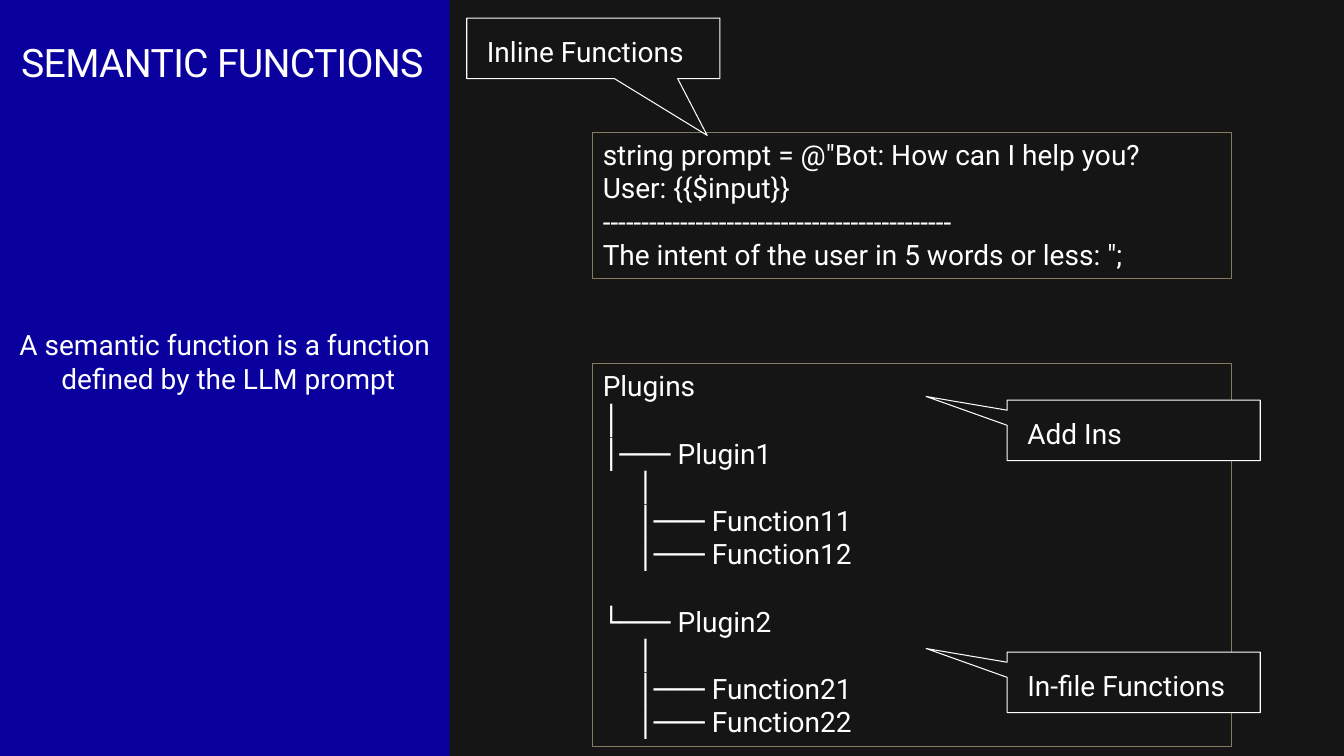
from dataclasses import dataclass

from pptx import Presentation
from pptx.dml.color import RGBColor
from pptx.enum.shapes import MSO_SHAPE
from pptx.enum.text import MSO_ANCHOR, PP_ALIGN
from pptx.oxml.ns import qn
from pptx.util import Inches, Pt

RECTANGLE = MSO_SHAPE.RECTANGLE
CALLOUT = MSO_SHAPE.RECTANGULAR_CALLOUT
TOP = MSO_ANCHOR.TOP
LEFT, CENTER = PP_ALIGN.LEFT, PP_ALIGN.CENTER
BLANK_LAYOUT = 6
SLIDE_WIDTH, SLIDE_HEIGHT = Inches(13.33), Inches(7.5)


@dataclass(frozen=True)
class Theme:
    background: RGBColor = RGBColor.from_string("151515")
    sidebar: RGBColor = RGBColor.from_string("09009E")
    frame: RGBColor = RGBColor.from_string("847C5F")
    light: RGBColor = RGBColor.from_string("FFFFFF")
    font: str = "Roboto"
    title_size: Pt = Pt(28)
    body_size: Pt = Pt(20)
    line_height: Pt = Pt(24)
    outline: Pt = Pt(0.75)
    title_spacing: str = "-50"


THEME = Theme()
TEXT_INSETS = (0.1, 0.05)
CALLOUT_INSETS = (0.2, 0.16)
CALLOUT_SIZE = (18.83, 8)
LEFT_POINTER = (-0.82, -0.56)
FRAME_LEFT, FRAME_WIDTH = 44.11, 47.49
TREE_INDENT = Inches(0.34)

DEFINITION = ["A semantic function is a function ", "defined by the LLM prompt"]
PROMPT = [
    'string prompt = @"Bot: How can I help you?',
    "User: {{$input}}",
    "-" * 45,
    'The intent of the user in 5 words or less: ";',
]
PLUGIN_TREE = [
    (0, "Plugins"),
    (0, "│"),
    (0, "│─── Plugin1"),
    (1, "│"),
    (1, "│─── Function11"),
    (1, "│─── Function12"),
    (0, "└─── Plugin2"),
    (1, "│"),
    (1, "│─── Function21"),
    (1, "│─── Function22"),
]
SECOND_PLUGIN = 6
CALLOUTS = [
    ("Inline Functions", 34.73, 2.4, (0.45, 1.44)),
    ("In-file Functions", 74.94, 86.27, LEFT_POINTER),
    ("Add Ins", 74.94, 52.93, LEFT_POINTER),
]


def place(left, top, width, height):
    return (
        round(SLIDE_WIDTH * left / 100),
        round(SLIDE_HEIGHT * top / 100),
        round(SLIDE_WIDTH * width / 100),
        round(SLIDE_HEIGHT * height / 100),
    )


def write_lines(holder, lines, size=THEME.body_size, insets=TEXT_INSETS, align=LEFT):
    frame = holder.text_frame
    frame.word_wrap = True
    frame.vertical_anchor = TOP
    frame.margin_left = frame.margin_right = Inches(insets[0])
    frame.margin_top = frame.margin_bottom = Inches(insets[1])
    frame.text = "\n".join(lines)
    for paragraph in frame.paragraphs:
        paragraph.alignment = align
        paragraph.font.name = THEME.font
        paragraph.font.size = size
        paragraph.font.color.rgb = THEME.light
    return frame.paragraphs


def add_block(slide, kind, area, fill=None, line=None):
    block = slide.shapes.add_shape(kind, *place(*area))
    block.shadow.inherit = False
    if fill is None:
        block.fill.background()
    else:
        block.fill.solid()
        block.fill.fore_color.rgb = fill
    if line is None:
        block.line.fill.background()
    else:
        block.line.color.rgb = line
        block.line.width = THEME.outline
    return block


def add_text(slide, area, lines, **style):
    return write_lines(slide.shapes.add_textbox(*place(*area)), lines, **style)


def add_frame(slide, top, height, lines):
    area = (FRAME_LEFT, top, FRAME_WIDTH, height)
    return write_lines(add_block(slide, RECTANGLE, area, line=THEME.frame), lines)


def add_callout(slide, label, left, top, pointer):
    callout = add_block(slide, CALLOUT, (left, top, *CALLOUT_SIZE), THEME.background, THEME.light)
    callout.adjustments[0], callout.adjustments[1] = pointer
    write_lines(callout, [label], insets=CALLOUT_INSETS)


def add_title(slide):
    title = add_text(slide, (1.58, 5.07, 33.16, 6.27), ["SEMANTIC FUNCTIONS"],
                     size=THEME.title_size, insets=(0, 0))[0]
    title._p.pPr.find(qn("a:defRPr")).set("spc", THEME.title_spacing)


def add_plugin_tree(slide):
    branches = add_frame(slide, 48.13, 50.67, [label for _, label in PLUGIN_TREE])
    for branch, (level, _) in zip(branches, PLUGIN_TREE):
        branch._p.pPr.set("marL", str(level * TREE_INDENT))
    branches[SECOND_PLUGIN].space_before = THEME.line_height


def main():
    deck = Presentation()
    deck.slide_width, deck.slide_height = SLIDE_WIDTH, SLIDE_HEIGHT
    slide = deck.slides.add_slide(deck.slide_layouts[BLANK_LAYOUT])
    slide.background.fill.solid()
    slide.background.fill.fore_color.rgb = THEME.background

    add_block(slide, RECTANGLE, (0, 0, 33.46, 100), fill=THEME.sidebar)
    add_title(slide)
    add_text(slide, (-8.03, 42.67, 50.04, 10.27), DEFINITION, align=CENTER)
    add_frame(slide, 17.47, 19.33, PROMPT)
    add_plugin_tree(slide)
    for callout in CALLOUTS:
        add_callout(slide, *callout)
    deck.save("out.pptx")


if __name__ == "__main__":
    main()
